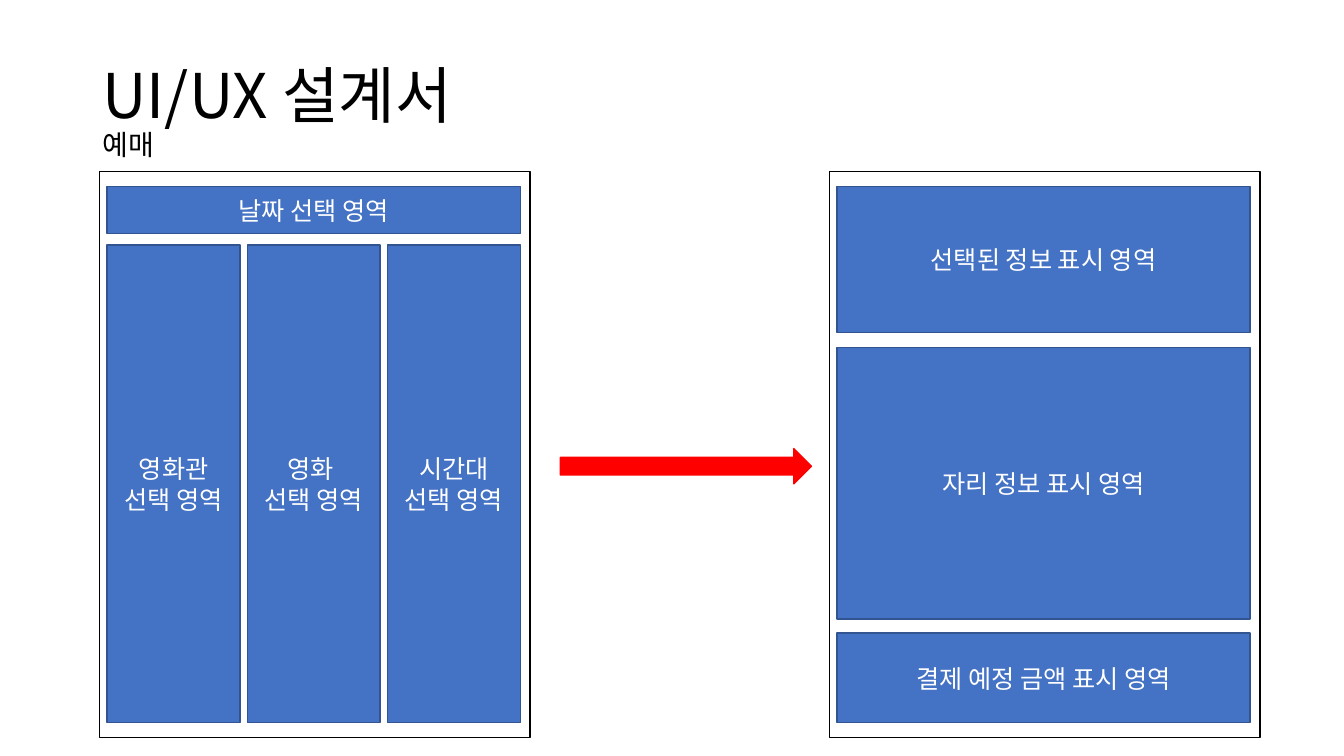
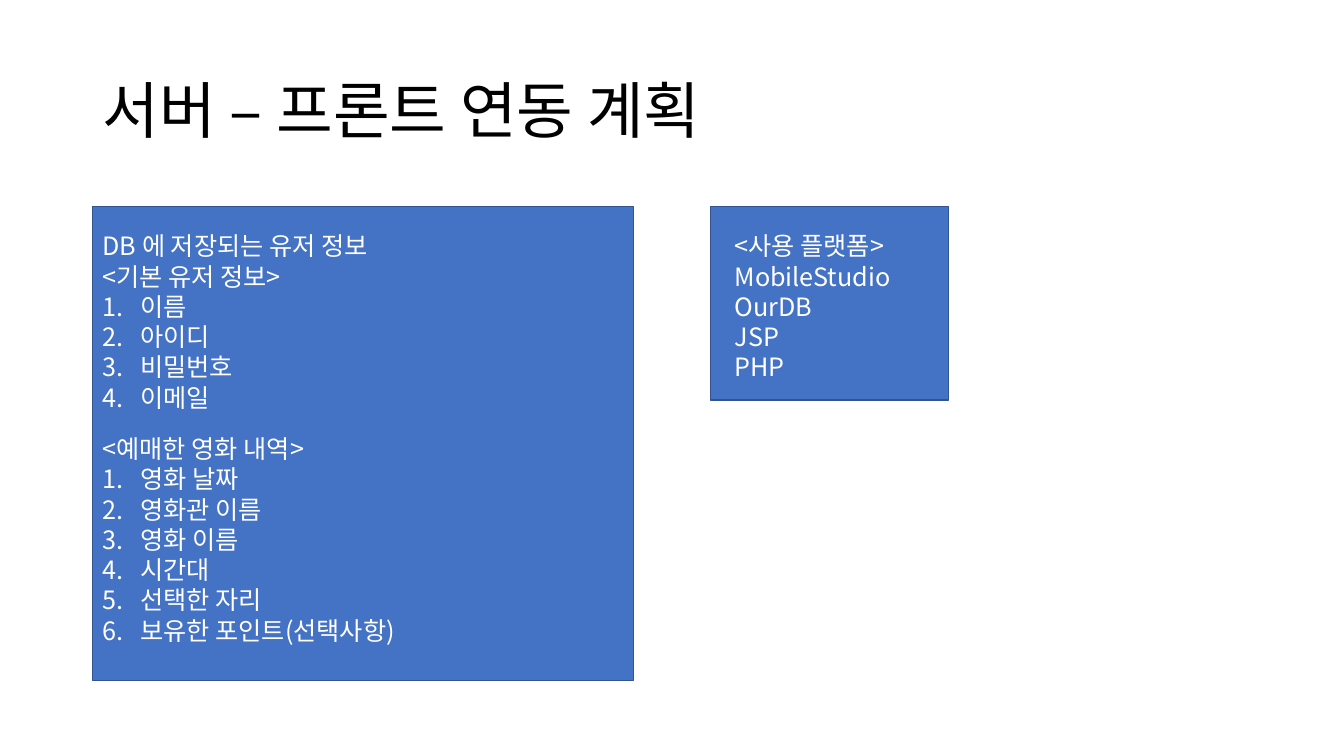
"""Builds two slides: the booking screen layout and the server to front-end plan."""
from pptx import Presentation
from pptx.dml.color import RGBColor
from pptx.enum import shapes, text
from pptx.oxml.ns import qn
from pptx.util import Pt
from lxml import etree

FONT = "Noto Sans CJK KR"
BLUE, EDGE, RED, WHITE, BLACK = "4472C4", "325491", "FF0000", "FFFFFF", "000000"
TITLE_BOX = (66, 28.8, 828, 104.4)
BODY_SIZE = 18
LIST_INDENT = 27

PANEL_TOP, PANEL_W, PANEL_H = 122.4, 307.4, 404.6
BOOKING_X, SEAT_X = 71.3, 592.6
INSET, BLOCK_W = 5.2, 295.2
DATE_ROW = ("날짜 선택 영역", 133.2, 33.8)
COLUMNS = [["영화관", "선택 영역"], ["영화 ", "선택 영역"], ["시간대", "선택 영역"]]
COLUMN_TOP, COLUMN_W, COLUMN_H = 175, 95, 341.3
SEAT_ROWS = [
    ("선택된 정보 표시 영역", 133.2, 104.4),
    ("자리 정보 표시 영역", 248.4, 193.7),
    ("결제 예정 금액 표시 영역", 452.2, 64.1),
]
ARROW = (400.3, 320.4, 179.3, 25.2)

CARDS = [(66.2, 147.6, 386.6, 338.4), (507.6, 147.6, 169.9, 138.2)]
LISTS = [
    ((66.2, 161.3, 451.4, 138.2),
     ["DB 에 저장되는 유저 정보", "<기본 유저 정보>"],
     ["이름", "아이디", "비밀번호", "이메일"]),
    ((66.2, 306, 451.4, 159.8),
     ["<예매한 영화 내역>"],
     ["영화 날짜", "영화관 이름", "영화 이름", "시간대", "선택한 자리", "보유한 포인트(선택사항)"]),
    ((517.7, 161.3, 369.4, 116.6),
     ["<사용 플랫폼>", "MobileStudio", "OurDB", "JSP", "PHP"],
     []),
]


def rgb(value):
    return RGBColor.from_string(value)


def pts(box):
    return [Pt(v) for v in box]


def style(font, size, color):
    font.name, font.size = FONT, Pt(size)
    font.color.rgb = rgb(color)
    etree.SubElement(font._element, qn("a:ea")).set("typeface", FONT)


def write(tf, lines, align):
    for i, line in enumerate(lines):
        p = tf.paragraphs[0] if i == 0 else tf.add_paragraph()
        p.text = line
        p.alignment = align
        style(p.font, BODY_SIZE, WHITE)


def add_box(s, box, fill=BLUE, line=EDGE, lines=(), kind=shapes.MSO_SHAPE.RECTANGLE):
    sp = s.shapes.add_shape(kind, *pts(box))
    sp.shadow.inherit = False
    sp.fill.solid()
    sp.fill.fore_color.rgb = rgb(fill)
    sp.line.color.rgb = rgb(line)
    sp.line.width = Pt(1)
    tf = sp.text_frame
    tf.vertical_anchor = text.MSO_ANCHOR.MIDDLE
    write(tf, lines, text.PP_ALIGN.CENTER)


def number(p):
    pPr = p._p.get_or_add_pPr()
    pPr.set("marL", str(Pt(LIST_INDENT)))
    pPr.set("indent", str(-Pt(LIST_INDENT)))
    bullet = etree.Element(qn("a:buAutoNum"), type="arabicPeriod")
    pPr.insert(0, bullet)


def add_list(s, box, heads, items):
    tf = s.shapes.add_textbox(*pts(box)).text_frame
    tf.word_wrap = True
    write(tf, heads + items, text.PP_ALIGN.LEFT)
    for p in tf.paragraphs[len(heads):]:
        number(p)


def add_slide(prs, title, subtitle=None):
    s = prs.slides.add_slide(prs.slide_layouts[5])
    sp = s.shapes.title
    sp.left, sp.top, sp.width, sp.height = pts(TITLE_BOX)
    tf = sp.text_frame
    tf.auto_size = text.MSO_AUTO_SIZE.NONE
    tf.vertical_anchor = text.MSO_ANCHOR.MIDDLE
    p = tf.paragraphs[0]
    p.alignment = text.PP_ALIGN.LEFT
    p.line_spacing = 0.9
    for content, size in [(title, 44), (subtitle, 20)]:
        if content:
            if p.runs:
                p.add_line_break()
            r = p.add_run()
            r.text = content
            style(r.font, size, BLACK)
    return s


def booking_slide(prs):
    s = add_slide(prs, "UI/UX 설계서", "예매")
    for x, rows in [(BOOKING_X, [DATE_ROW]), (SEAT_X, SEAT_ROWS)]:
        add_box(s, (x, PANEL_TOP, PANEL_W, PANEL_H), WHITE, BLACK)
        for label, top, height in rows:
            add_box(s, (x + INSET, top, BLOCK_W, height), lines=[label])
    step = (BLOCK_W - COLUMN_W) / (len(COLUMNS) - 1)
    for i, lines in enumerate(COLUMNS):
        left = BOOKING_X + INSET + i * step
        add_box(s, (left, COLUMN_TOP, COLUMN_W, COLUMN_H), lines=lines)
    add_box(s, ARROW, RED, RED, kind=shapes.MSO_SHAPE.RIGHT_ARROW)


def server_slide(prs):
    s = add_slide(prs, "서버 – 프론트 연동 계획")
    for card in CARDS:
        add_box(s, card)
    for box, heads, items in LISTS:
        add_list(s, box, heads, items)


def main():
    prs = Presentation()
    prs.slide_width, prs.slide_height = Pt(960), Pt(540)
    booking_slide(prs)
    server_slide(prs)
    prs.save("out.pptx")


if __name__ == "__main__":
    main()
